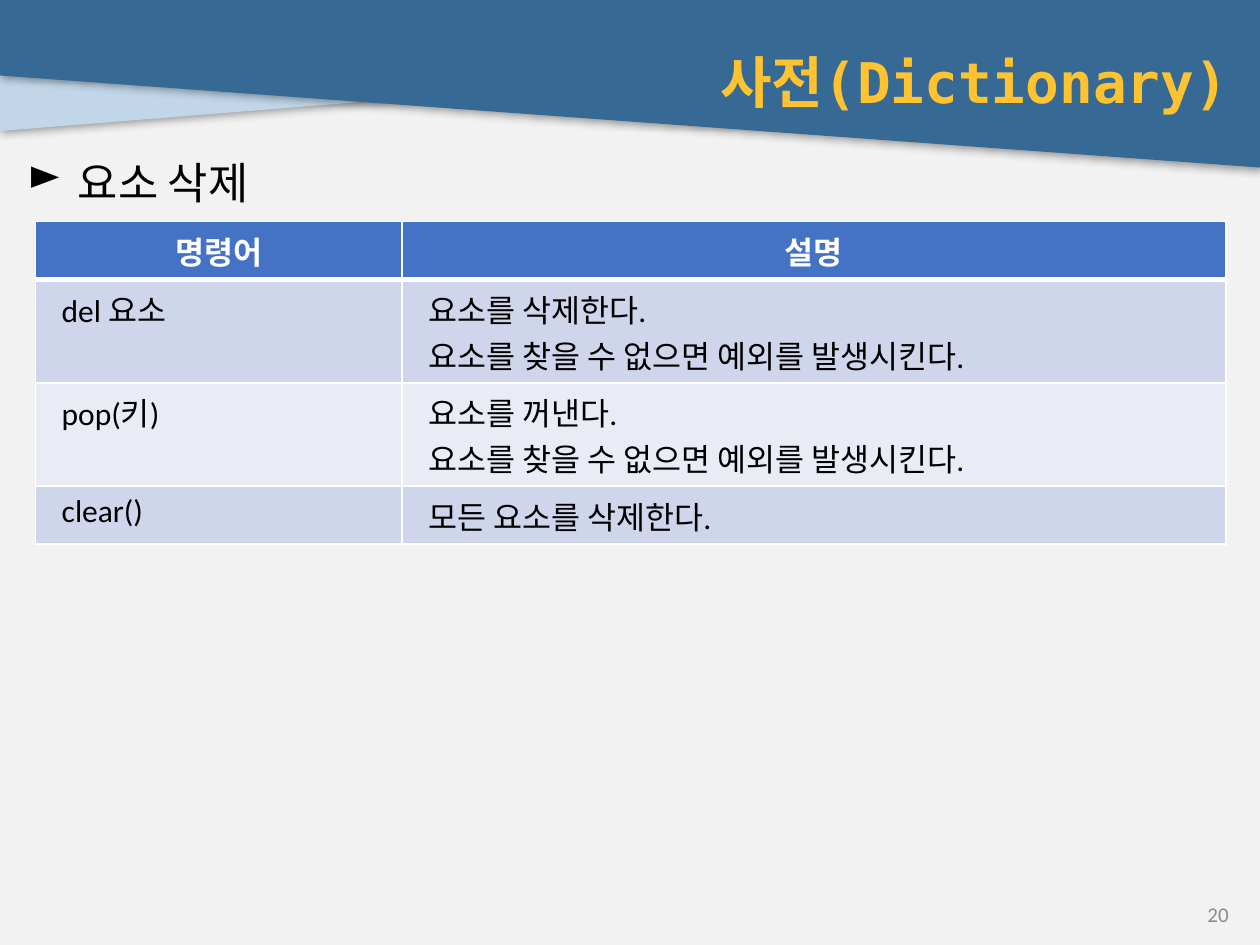
from pptx import Presentation
from pptx.dml.color import RGBColor
from pptx.enum.text import MSO_ANCHOR as ANCHOR, PP_ALIGN as ALIGN
from pptx.oxml import parse_xml
from pptx.oxml.ns import nsdecls, qn
from pptx.util import Inches, Pt

COLORS = {
    "background": "F2F2F2", "light_band": "C1D7E9", "dark_band": "366994",
    "title": "FFC331", "black": "000000", "white": "FFFFFF", "number": "8C8C8C",
    "header": "4472C4", "odd_row": "CFD5EA", "even_row": "E9EBF5",
}
MONO = "DejaVu Sans Mono"
BANDS = [
    ("light_band", [(6.84, 0.04), (0, 0.04), (0, 1.04), (6.84, 0.49)]),
    ("dark_band", [(0, 0), (10, 0), (10, 1.33), (0, 0.6)]),
]
ROWS = [
    ("명령어", "설명"),
    ("del 요소", "요소를 삭제한다.\n요소를 찾을 수 없으면 예외를 발생시킨다."),
    ("pop(키)", "요소를 꺼낸다.\n요소를 찾을 수 없으면 예외를 발생시킨다."),
    ("clear()", "모든 요소를 삭제한다."),
]
COL_WIDTHS = [2.91, 6.54]
ROW_HEIGHTS = [0.46, 0.82, 0.82, 0.46]


def rgb(name):
    """Return the named palette colour."""
    return RGBColor.from_string(COLORS[name])


def write(tf, text, size=18, color="black", font="Calibri", bold=False,
          align=ALIGN.LEFT, space=0):
    """Fill a text frame, one paragraph a line, in one format."""
    for i, line in enumerate(text.split("\n")):
        p = tf.add_paragraph() if i else tf.paragraphs[0]
        p.alignment = align
        p.space_before = p.space_after = Pt(space)
        r = p.add_run()
        r.text = line
        r.font.size, r.font.name, r.font.bold = Pt(size), font, bold
        r.font.color.rgb = rgb(color)


def place(sp, left, top, width, height, anchor=ANCHOR.TOP):
    """Position a text shape and return its wrapped text frame."""
    sp.left, sp.top = Inches(left), Inches(top)
    sp.width, sp.height = Inches(width), Inches(height)
    tf = sp.text_frame
    tf.word_wrap, tf.vertical_anchor = True, anchor
    return tf


def add_textbox(s, box, anchor=ANCHOR.TOP):
    """Add a text box and return its text frame."""
    return place(s.shapes.add_textbox(0, 0, 0, 0), *box, anchor=anchor)


def add_band(s, color, points):
    """Add a filled header outline with a soft shadow."""
    corners = [(Inches(x), Inches(y)) for x, y in points]
    builder = s.shapes.build_freeform(*corners[0])
    builder.add_line_segments(corners[1:], close=True)
    sp = builder.convert_to_shape()
    sp.fill.solid()
    sp.fill.fore_color.rgb = rgb(color)
    sp.line.fill.background()
    sp.shadow.inherit = False
    sp._element.spPr.find(qn("a:effectLst")).append(parse_xml(
        f'<a:outerShdw {nsdecls("a")} blurRad="{Pt(5)}" dist="{Pt(1)}" '
        'dir="2700000" algn="tl" rotWithShape="0"><a:srgbClr val="000000">'
        '<a:alpha val="40000"/></a:srgbClr></a:outerShdw>'))


def add_bullet(p, char, indent):
    """Give a paragraph a hanging bullet."""
    pPr = p._p.get_or_add_pPr()
    pPr.set("marL", str(Inches(indent)))
    pPr.set("indent", str(-Inches(indent)))
    pPr.append(parse_xml(f'<a:buChar {nsdecls("a")} char="{char}"/>'))


def set_borders(cell, bottom):
    """Draw white cell borders with the given bottom width."""
    tcPr = cell._tc.get_or_add_tcPr()
    for i, (side, width) in enumerate(zip("LRTB", (1, 1, 1, bottom))):
        tcPr.insert(i, parse_xml(
            f'<a:ln{side} {nsdecls("a")} w="{Pt(width)}"><a:solidFill>'
            f'<a:srgbClr val="{COLORS["white"]}"/></a:solidFill></a:ln{side}>'))


def add_command_table(s):
    """Add the table of commands and their descriptions."""
    table = s.shapes.add_table(
        len(ROWS), len(COL_WIDTHS), Inches(0.28), Inches(1.76),
        Inches(sum(COL_WIDTHS)), Inches(sum(ROW_HEIGHTS))).table
    for col, width in zip(table.columns, COL_WIDTHS):
        col.width = Inches(width)
    for i, (texts, height) in enumerate(zip(ROWS, ROW_HEIGHTS)):
        table.rows[i].height = Inches(height)
        header = i == 0
        fill = "header" if header else "odd_row" if i % 2 else "even_row"
        for j, text in enumerate(texts):
            cell = table.cell(i, j)
            cell.fill.solid()
            cell.fill.fore_color.rgb = rgb(fill)
            cell.margin_left = Inches(0.1 if header else 0.21)
            write(cell.text_frame, text, bold=header,
                  color="white" if header else "black",
                  align=ALIGN.CENTER if header else ALIGN.LEFT)
            set_borders(cell, 3 if header else 1)


def main():
    """Build and save the slide."""
    prs = Presentation()
    prs.slide_width, prs.slide_height = Inches(10), Inches(7.5)
    s = prs.slides.add_slide(prs.slide_layouts[5])
    s.background.fill.solid()
    s.background.fill.fore_color.rgb = rgb("background")
    for color, points in BANDS:
        add_band(s, color, points)

    title = s.shapes.title
    s.shapes._spTree.append(title._element)
    tf = place(title, 0.24, 0.24, 9.61, 0.81, ANCHOR.MIDDLE)
    write(tf, "사전(Dictionary)", size=32, color="title", font=MONO,
          bold=True, align=ALIGN.RIGHT, space=2)

    tf = add_textbox(s, (0.12, 1.19, 9.73, 0.55))
    write(tf, "요소 삭제", size=25, font=MONO, space=2)
    add_bullet(tf.paragraphs[0], "►", 0.4)

    add_command_table(s)
    tf = add_textbox(s, (7.6, 7.13, 2.25, 0.25), ANCHOR.MIDDLE)
    write(tf, "20", size=12, color="number", align=ALIGN.RIGHT)
    prs.save("out.pptx")


main()
